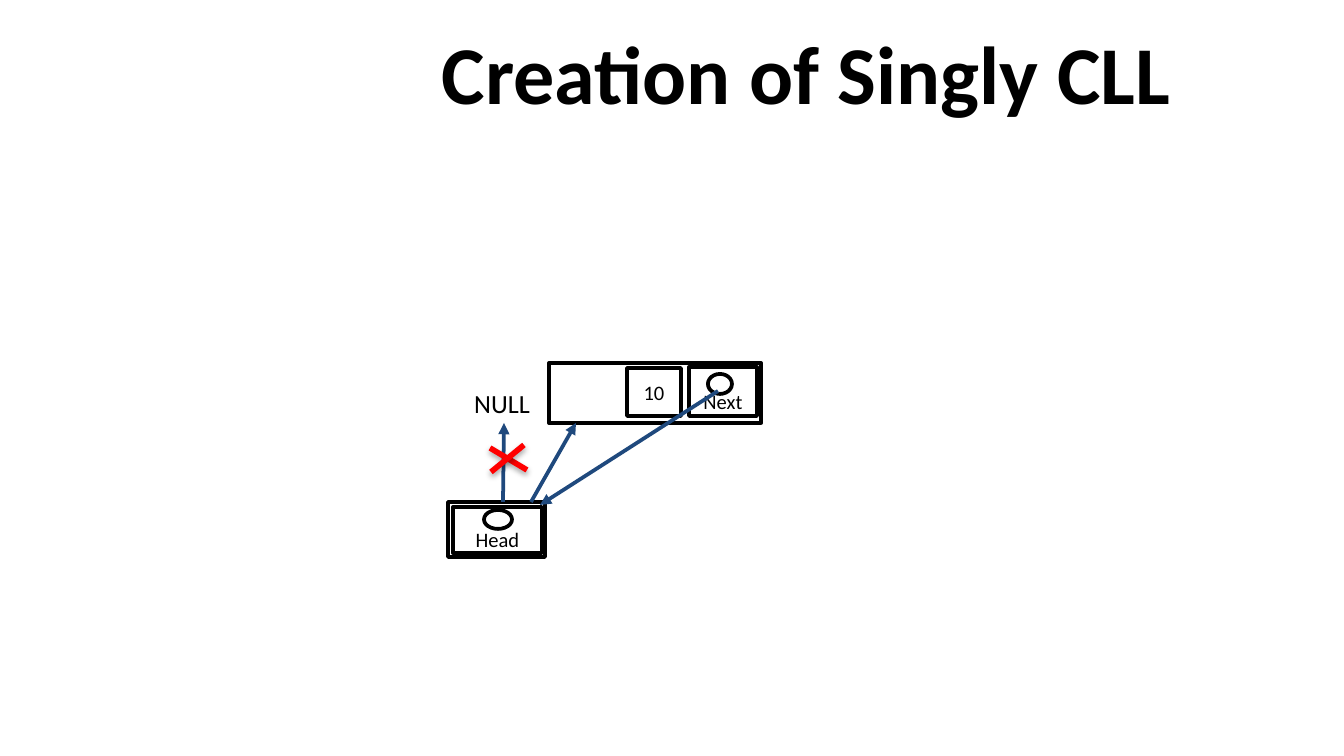
from lxml import etree
from pptx import Presentation
from pptx.dml.color import RGBColor
from pptx.enum.shapes import MSO_CONNECTOR, MSO_SHAPE
from pptx.enum.text import MSO_ANCHOR, PP_ALIGN
from pptx.oxml import parse_xml
from pptx.oxml.ns import nsdecls, qn
from pptx.util import Pt

RECT, OVAL = MSO_SHAPE.RECTANGLE, MSO_SHAPE.OVAL
LINE = MSO_CONNECTOR.STRAIGHT
MID, TOP = MSO_ANCHOR.MIDDLE, MSO_ANCHOR.TOP
CENTER, LEFT = PP_ALIGN.CENTER, PP_ALIGN.LEFT
PX = 914400 / 134.4
COLORS = {"ink": "000000", "paper": "FFFFFF", "arrow": "1F497D", "cross": "FF0000"}
SHADOW = (f'<a:effectLst {nsdecls("a")}><a:outerShdw blurRad="39370" dist="22860" '
          'dir="5400000" rotWithShape="0"><a:srgbClr val="000000">'
          '<a:alpha val="35000"/></a:srgbClr></a:outerShdw></a:effectLst>')


def color(name):
    return RGBColor.from_string(COLORS[name])


def write(shape, text, size, align=CENTER, anchor=MID, bold=False):
    frame = shape.text_frame
    frame.text = text
    frame.word_wrap = True
    frame.vertical_anchor = anchor
    para = frame.paragraphs[0]
    para.alignment = align
    font = para.runs[0].font
    font.name, font.size, font.bold = "Calibri", Pt(size), bold
    font.color.rgb = color("ink")
    return frame


deck = Presentation()
deck.slide_width, deck.slide_height = int(1344 * PX), int(756 * PX)
slide = deck.slides.add_slide(deck.slide_layouts[5])

# Title
title = slide.shapes.title
title.left, title.top, title.width, title.height = [int(v * PX) for v in (314, 0, 985, 143)]
write(title, "Creation of Singly CLL", 44, bold=True)

# Head pointer and list node: kind, box, label, top inset of the label
head = [
    (RECT, (448, 502, 97, 55), "", 0),
    (RECT, (453, 507, 89, 46), "Head", 20),
    (OVAL, (484, 510, 28, 19), "", 0),
]
node = [
    (RECT, (549, 363, 212, 60), "", 0),
    (RECT, (627, 368, 54, 48), "10", 0),
    (RECT, (689, 367, 68, 49), "Next", 22),
    (OVAL, (708, 374, 24, 20), "", 0),
]
for parts in (head, node):
    group = slide.shapes.add_group_shape()
    for kind, box, label, inset in parts:
        shape = group.shapes.add_shape(kind, *[int(v * PX) for v in box])
        shape.shadow.inherit = False
        shape.fill.solid()
        shape.fill.fore_color.rgb = color("paper")
        shape.line.color.rgb = color("ink")
        shape.line.width = Pt(2)
        if label:
            frame = write(shape, label, 11, anchor=TOP if inset else MID)
            frame.margin_left = frame.margin_right = frame.margin_bottom = 0
            frame.margin_top = int(inset * PX)

# Null label
null = slide.shapes.add_textbox(*[int(v * PX) for v in (461, 381, 94, 45)])
write(null, "NULL", 14, LEFT, TOP)

# Arrows, then the cross over the broken link
arrows = [(503, 502, 504, 423), (531, 502, 576, 423), (718, 391, 540, 505)]
cross = [(490, 448, 527, 470), (524, 445, 491, 472)]
mark = slide.shapes.add_group_shape()
for home, ends, name, width in (
    (slide.shapes, arrows, "arrow", 2),
    (mark.shapes, cross, "cross", 3),
):
    for end in ends:
        line = home.add_connector(LINE, *[int(v * PX) for v in end])
        line.line.color.rgb = color(name)
        line.line.width = Pt(width)
        props = line._element.spPr
        if name == "arrow":
            etree.SubElement(props.find(qn("a:ln")), qn("a:tailEnd"), type="triangle")
            etree.SubElement(props, qn("a:effectLst"))
        else:
            props.append(parse_xml(SHADOW))

# Bring the cross to the front
slide.shapes._spTree.append(mark._element)

deck.save("out.pptx")
